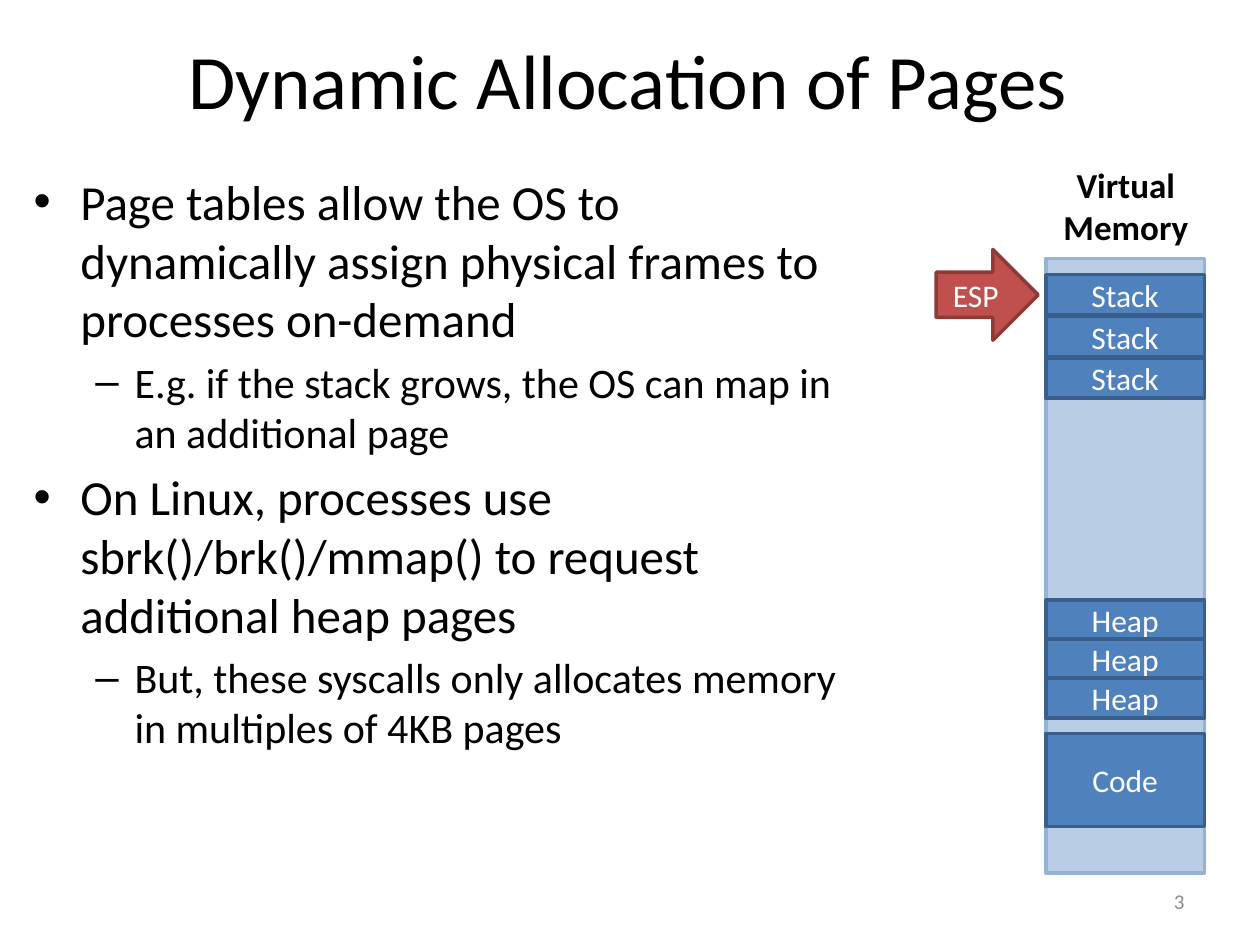
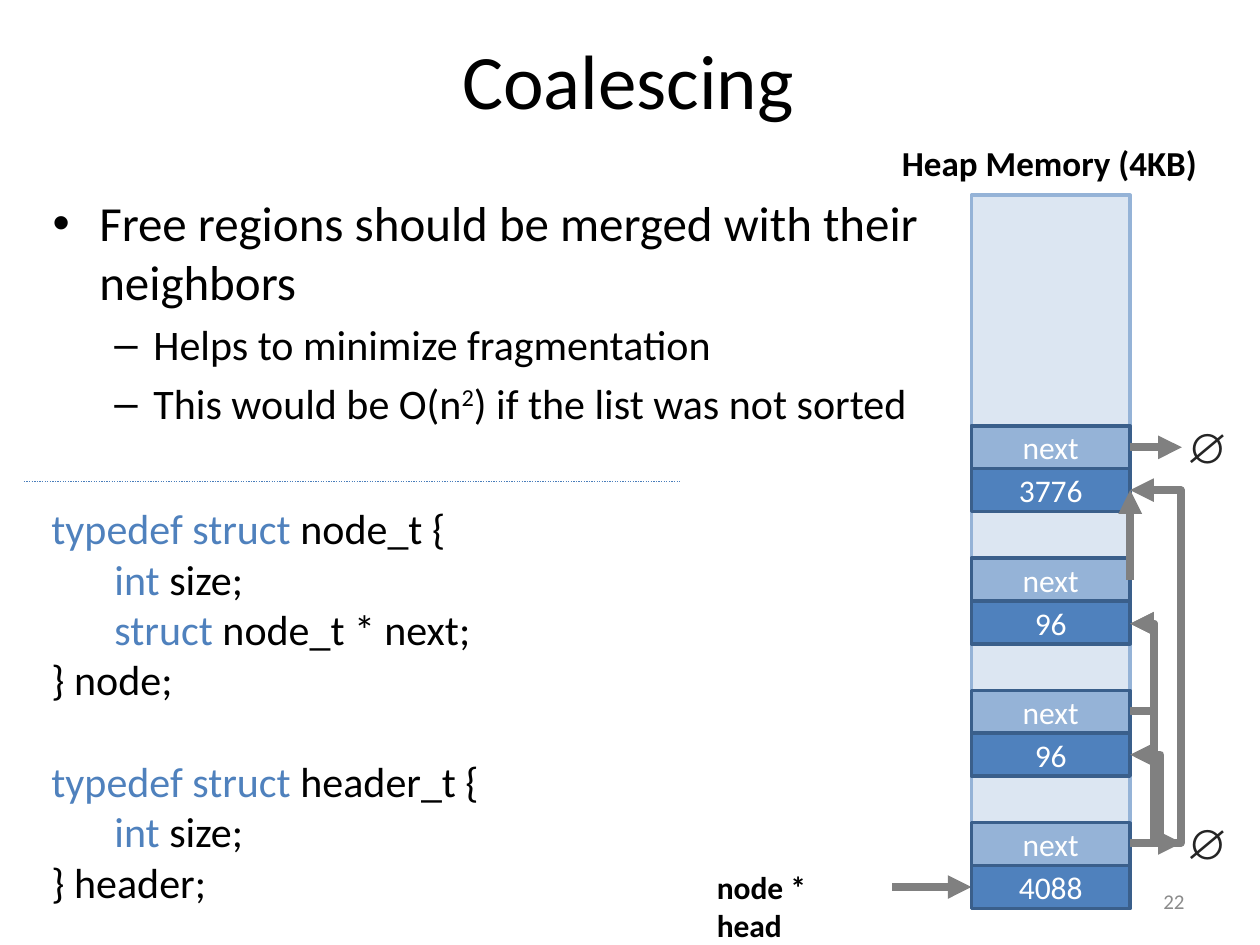
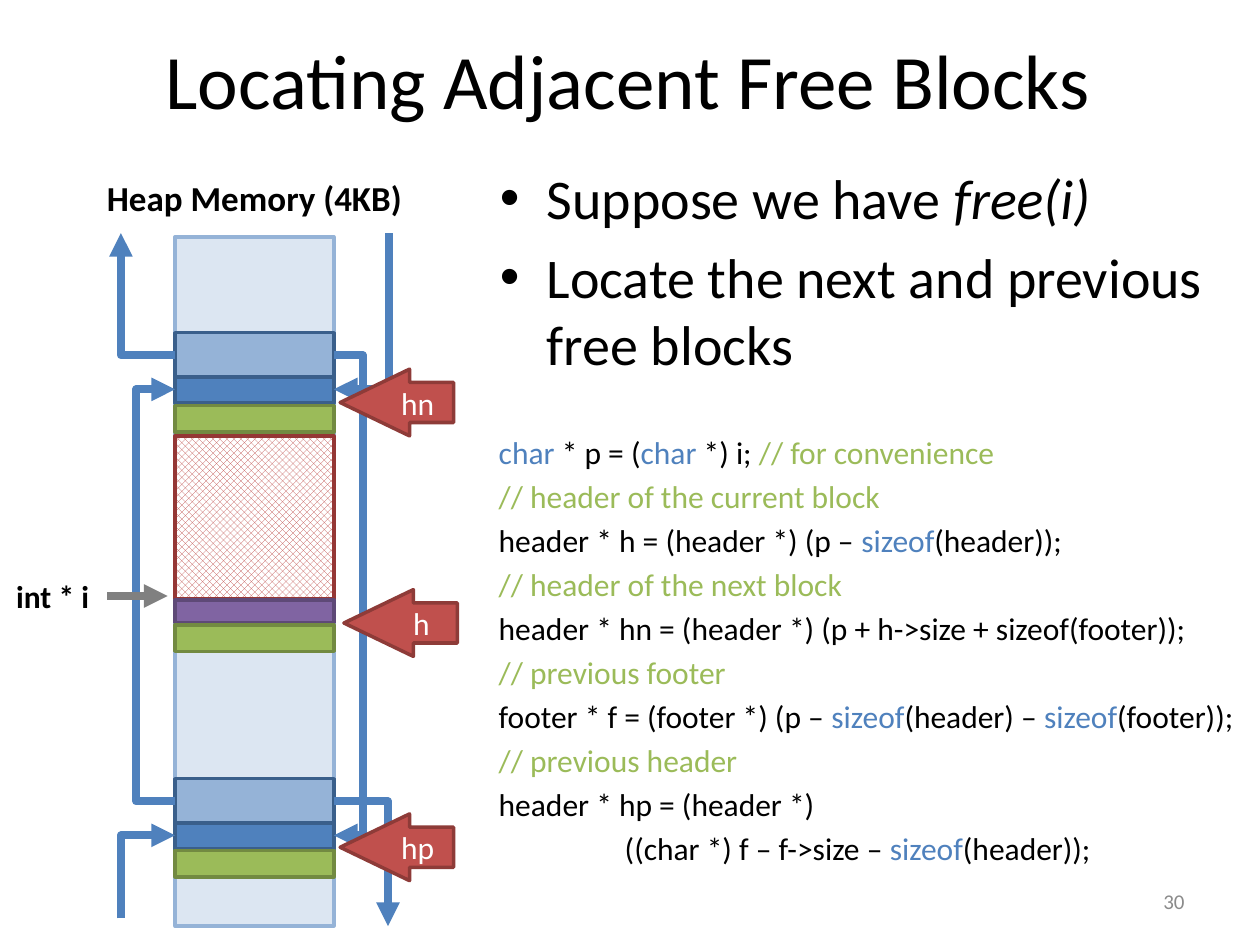
"""Builds three slides on heap memory: page allocation, coalescing and adjacent free blocks."""
from dataclasses import dataclass

from lxml.etree import SubElement as Sub
from pptx import Presentation
from pptx.dml.color import RGBColor as Rgb
from pptx.enum.dml import MSO_LINE as Dash, MSO_PATTERN as Pat
from pptx.enum.shapes import MSO_CONNECTOR as Link, MSO_SHAPE as Geo
from pptx.enum.text import MSO_ANCHOR as Anchor, MSO_AUTO_SIZE as Fit, PP_ALIGN as Align
from pptx.oxml.ns import qn
from pptx.util import Pt

PX = 9144


@dataclass(frozen=True)
class Theme:
    face: str = "Calibri"
    sign: str = "Arial"
    ink: str = "000000"
    white: str = "FFFFFF"
    null: str = "252525"
    page: str = "8B8B8B"
    gray: str = "808080"
    rule: str = "4A7EBB"
    blue: str = "4F81BD"
    navy: str = "3A5F8B"
    soft: str = "95B3D7"
    mist: str = "B9CDE5"
    pale: str = "DCE6F2"
    red: str = "C0504D"
    wine: str = "8E3B38"
    brick: str = "953735"
    plum: str = "8064A2"
    grape: str = "5E4977"
    green: str = "9BBB59"
    moss: str = "728A41"
    title: int = 44
    lead: int = 32
    main: int = 28
    sub: int = 24
    head: int = 20
    small: int = 18
    foot: int = 12


T = Theme()


@dataclass
class Para:
    words: list
    size: int
    left: int = 0
    hang: int = 0
    gap: float = 0
    mark: str = ""


def point(text, size=T.main):
    return Para(text, size, 38, 37, size / 5, "•")


def dash(text):
    return Para(text, T.sub, 81, 31, T.sub / 5, "–")


def code(text, size, gap=0, left=0):
    """Turn words between backticks into keywords and a // tail into a comment."""
    text, cut, note = text.partition("//")
    words = [(word, "key" if i % 2 else "") for i, word in enumerate(text.split("`"))]
    words.append((cut + note, "note"))
    return Para([pair for pair in words if pair[0]], size, left, 0, gap)


def paint(font, size, color=T.ink, bold=False, face=T.face):
    font.name, font.size, font.bold = face, Pt(size), bold
    font.color.rgb = Rgb.from_string(color)


def style(run, kind):
    if kind in ("key", "note"):
        run.font.color.rgb = Rgb.from_string(T.blue if kind == "key" else T.green)
    elif kind == "ital":
        run.font.italic = True
    elif kind == "sup":
        run.font._element.set("baseline", "30000")


def area(slide, box):
    return slide.shapes.add_textbox(*(n * PX for n in box)).text_frame


def write(slide, box, paras):
    """Fill a wrapping text box with paragraphs."""
    frame = area(slide, box)
    frame.word_wrap = True
    for i, item in enumerate(paras):
        para = frame.add_paragraph() if i else frame.paragraphs[0]
        if i:
            para.space_before = Pt(item.gap)
        props = para._p.get_or_add_pPr()
        props.set("marL", str(item.left * PX))
        props.set("indent", str(-item.hang * PX))
        if item.mark:
            Sub(props, qn("a:buFont")).set("typeface", T.sign)
            Sub(props, qn("a:buChar")).set("char", item.mark)
        paint(para.font, item.size)
        words = [(item.words, "")] if isinstance(item.words, str) else item.words
        for text, kind in words:
            run = para.add_run()
            run.text = text
            style(run, kind)


def label(slide, box, lines, size=T.head, color=T.ink, face=T.face, align=Align.LEFT):
    """Add a bold caption that grows with its text."""
    frame = area(slide, box)
    frame.word_wrap, frame.auto_size = False, Fit.SHAPE_TO_FIT_TEXT
    for i, text in enumerate(lines):
        para = frame.add_paragraph() if i else frame.paragraphs[0]
        para.text, para.alignment = text, align
        paint(para.font, size, color, True, face)


def plain(slide, box, text, size, color, align):
    frame = area(slide, box)
    frame.word_wrap, frame.vertical_anchor = True, Anchor.MIDDLE
    para = frame.paragraphs[0]
    para.text, para.alignment = text, align
    paint(para.font, size, color)


def block(slide, box, fill, edge, text="", geo=Geo.RECTANGLE, adj=()):
    """Add a filled, outlined shape with white centred text."""
    shape = slide.shapes.add_shape(geo, *(n * PX for n in box))
    for i, value in enumerate(adj):
        shape.adjustments[i] = value
    shape.shadow.inherit = False
    shape.fill.solid()
    shape.fill.fore_color.rgb = Rgb.from_string(fill)
    shape.line.color.rgb = Rgb.from_string(edge)
    shape.line.width = Pt(2)
    if text:
        frame = shape.text_frame
        frame.vertical_anchor = Anchor.MIDDLE
        para = frame.paragraphs[0]
        para.text, para.alignment = text, Align.CENTER
        paint(para.font, T.small, T.white)
    return shape


def stroke(shape, color, width, tip):
    shape.line.color.rgb = Rgb.from_string(color)
    shape.line.width = Pt(width)
    if tip:
        Sub(shape._element.spPr.find(qn("a:ln")), qn("a:tailEnd")).set("type", "triangle")


def line(slide, start, end, color=T.gray, width=4.5, tip=True):
    link = slide.shapes.add_connector(Link.STRAIGHT, *(n * PX for n in start + end))
    stroke(link, color, width, tip)
    Sub(link._element.spPr, qn("a:effectLst"))
    return link


def bend(slide, color, start, *rest):
    """Draw an arrow that turns at each point on its way."""
    pen = slide.shapes.build_freeform(*start, scale=PX)
    pen.add_line_segments(rest, close=False)
    shape = pen.convert_to_shape()
    shape.shadow.inherit = False
    shape.fill.background()
    stroke(shape, color, 4.5, True)


def loop(slide, color, start, side, end):
    bend(slide, color, start, (side, start[1]), (side, end[1]), end)


def begin(deck, title, number):
    slide = deck.slides.add_slide(deck.slide_layouts[6])
    plain(slide, (5, 0, 987, 125), title, T.title, T.ink, Align.CENTER)
    plain(slide, (717, 695, 233, 40), number, T.foot, T.page, Align.RIGHT)
    return slide


def pages(deck):
    slide = begin(deck, "Dynamic Allocation of Pages", "3")
    write(slide, (16, 131, 663, 563), [
        point("Page tables allow the OS to dynamically assign physical frames to processes on-demand"),
        dash("E.g. if the stack grows, the OS can map in an additional page"),
        point("On Linux, processes use sbrk()/brk()/mmap() to request additional heap pages"),
        dash("But, these syscalls only allocates memory in multiples of 4KB pages"),
    ])
    left, wide = 830, 126
    block(slide, (left, 205, wide, 488), T.mist, T.soft)
    label(slide, (834, 125, 119, 77), ["Virtual", "Memory"], align=Align.CENTER)
    block(slide, (left, 582, wide, 74), T.blue, T.navy, "Code")
    for text, top, step in (("Stack", 218, 33), ("Heap", 476, 31)):
        for i in range(3):
            block(slide, (left, top + i * step, wide, 32), T.blue, T.navy, text)
    block(slide, (743, 198, 81, 72), T.red, T.wine, "ESP", Geo.RIGHT_ARROW)


def merge(deck):
    slide = begin(deck, "Coalescing", "22")
    write(slide, (31, 148, 716, 229), [
        point("Free regions should be merged with their neighbors"),
        dash("Helps to minimize fragmentation"),
        dash([("This would be O(n", ""), ("2", "sup"), (") if the list was not sorted", "")]),
    ])
    write(slide, (31, 394, 385, 330), [
        code("`typedef struct `node_t {", T.sub),
        code("`int `size;", T.sub, left=50),
        code("`struct `node_t * next;", T.sub, left=50),
        code("} node;", T.sub),
        code("`typedef struct `header_t {", T.sub, gap=29.3),
        code("`int `size;", T.sub, left=50),
        code("} header;", T.sub),
    ])
    line(slide, (19, 382), (541, 382), T.rule, 0.75, False).line.dash_style = Dash.ROUND_DOT
    left, wide = 771, 126
    edge = left + wide
    block(slide, (left, 155, wide, 566), T.pale, T.soft)
    label(slide, (706, 107, 254, 43), ["Heap Memory (4KB)"])
    label(slide, (559, 684, 148, 40), ["node * head"], T.small)
    line(slide, (708, 704), (left, 704))
    for i, size in enumerate(("3776", "96", "96", "4088")):
        top = 338 + 105 * i
        block(slide, (left, top, wide, 34), T.soft, T.navy, "next")
        block(slide, (left, top + 34, wide, 34), T.blue, T.navy, size)
    for start, side, end in ((669, 921, 599), (564, 916, 495), (669, 916, 495), (669, 937, 389)):
        loop(slide, T.gray, (edge, start), side, (edge, end))
    line(slide, (edge, 460), (edge, 389))
    for top in (355, 669):
        line(slide, (edge, top), (938, top))
        label(slide, (932, top - 25, 53, 50), ["∅"], T.sub, T.null, T.sign)


def find(deck):
    slide = begin(deck, "Locating Adjacent Free Blocks", "30")
    left, wide = 139, 126
    edge = left + wide
    block(slide, (left, 188, wide, 547), T.pale, T.soft)
    label(slide, (75, 135, 254, 43), ["Heap Memory (4KB)"])
    for top in (264, 618):
        block(slide, (left, top, wide, 35), T.soft, T.navy)
        block(slide, (left, top + 35, wide, 21), T.blue, T.navy)
    used = block(slide, (left, 346, wide, 129), T.white, T.brick)
    used.fill.patterned()
    used.fill.pattern = Pat.OUTLINED_DIAMOND
    used.fill.fore_color.rgb = Rgb.from_string(T.red)
    used.fill.back_color.rgb = Rgb.from_string(T.white)
    block(slide, (left, 476, wide, 18), T.plum, T.grape)
    for top in (322, 496, 675):
        block(slide, (left, top, wide, 21), T.green, T.moss)
    loop(slide, T.blue, (left, 636), 108, (left, 309))
    loop(slide, T.blue, (edge, 282), 288, (edge, 663))
    bend(slide, T.blue, (edge, 636), (308, 636), (308, 735))
    bend(slide, T.blue, (left, 282), (96, 282), (96, 185))
    bend(slide, T.blue, (96, 729), (96, 663), (left, 663))
    bend(slide, T.blue, (309, 185), (309, 309), (edge, 309))
    label(slide, (3, 453, 82, 40), ["int * i"], T.small)
    line(slide, (85, 473), (133, 473))
    for text, x, y in (("hn", 270, 293), ("h", 273, 468), ("hp", 270, 646)):
        block(slide, (x, y, 90, 53), T.red, T.wine, text, Geo.LEFT_ARROW, (0.6, 1.04))
    lines = (
        "`char` * p = (`char` *) i; // for convenience",
        "// header of the current block",
        "header * h = (header *) (p – `sizeof`(header));",
        "// header of the next block",
        "header * hn = (header *) (p + h->size + sizeof(footer));",
        "// previous footer",
        "footer * f = (footer *) (p – `sizeof`(header) – `sizeof`(footer));",
        "// previous header",
        "header * hp = (header *)",
    )
    write(slide, (386, 125, 615, 610), [
        point([("Suppose we have ", ""), ("free(i)", "ital")], T.lead),
        point("Locate the next and previous free blocks", T.lead),
        *(code(text, T.small, 3.6 if i else 32) for i, text in enumerate(lines)),
        code("((char *) f – f->size – `sizeof`(header));", T.small, 3.6, 100),
    ])


def main():
    deck = Presentation()
    deck.slide_width, deck.slide_height = 1000 * PX, 750 * PX
    for build in (pages, merge, find):
        build(deck)
    deck.save("out.pptx")


if __name__ == "__main__":
    main()
